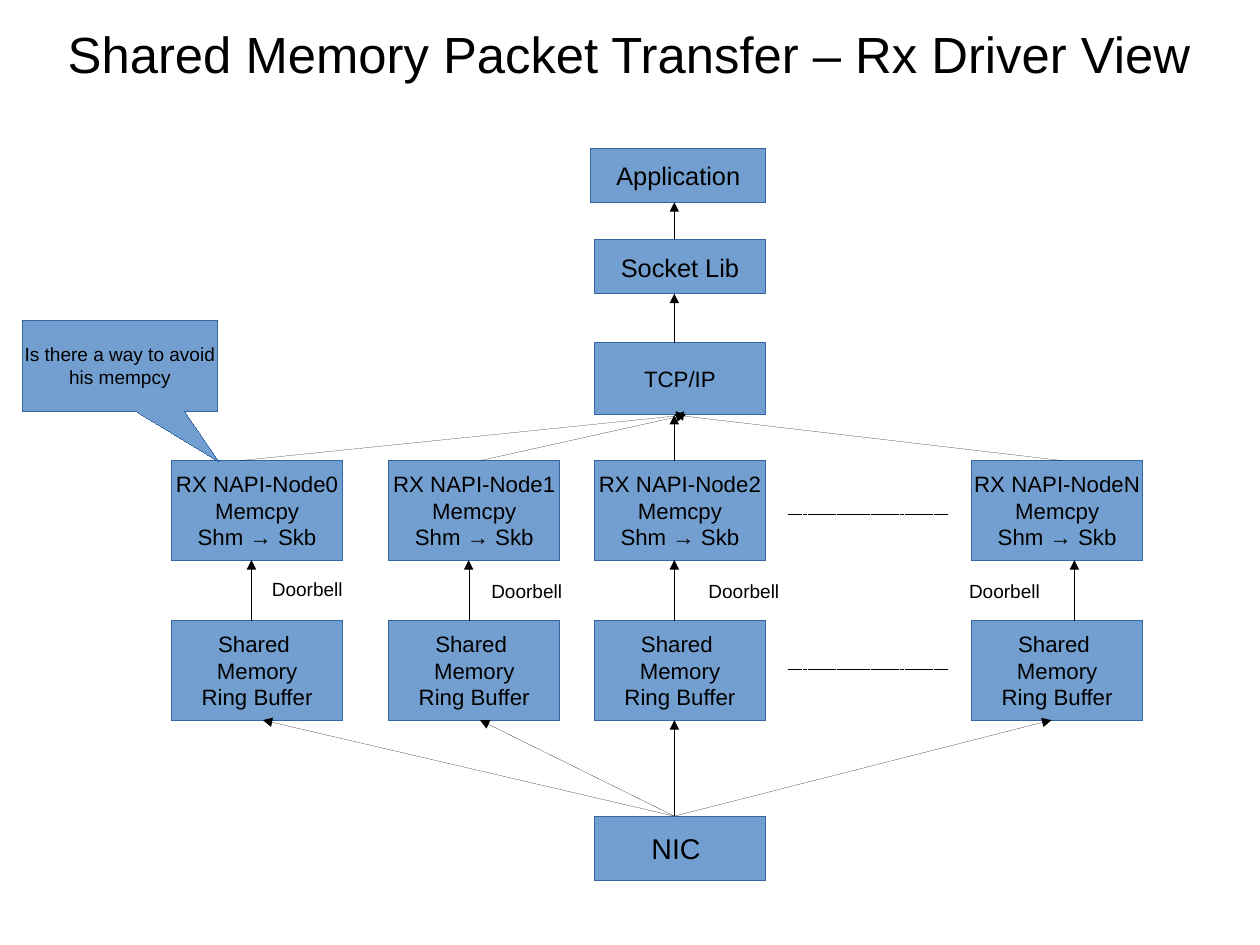
from dataclasses import dataclass

from lxml.etree import SubElement
from pptx import Presentation
from pptx.dml.color import RGBColor
from pptx.enum.dml import MSO_LINE
from pptx.enum.shapes import MSO_CONNECTOR, MSO_SHAPE
from pptx.enum.text import MSO_ANCHOR, PP_ALIGN
from pptx.oxml.ns import qn
from pptx.util import Pt


@dataclass(frozen=True)
class Theme:
    font: str = "Arial"
    text: RGBColor = RGBColor(0x00, 0x00, 0x00)
    fill: RGBColor = RGBColor(0x72, 0x9F, 0xCF)
    outline: RGBColor = RGBColor(0x34, 0x65, 0xA4)
    hairline: float = 0.01
    title_size: int = 32
    nic_size: int = 18
    layer_size: int = 16
    body_size: int = 14
    note_size: int = 12


@dataclass(frozen=True)
class Box:
    text: str
    left: float
    top: float
    width: float
    height: float
    size: int

    @property
    def bottom(self) -> float:
        return self.top + self.height


@dataclass(frozen=True)
class Lane:
    """One receive node: its box column, arrow positions and doorbell label."""
    name: str
    left: float
    nic_arrow_end: float
    doorbell_x: float
    stack_arrow_start: float
    stack_arrow_end: float
    label_left: float
    label_top: float


THEME = Theme()
BOX_WIDTH = 108
LANE_BOX_HEIGHT = 62.64
NODE_TOP = 290.16
RING_TOP = 390.96
TRUNK_X = 424.8
TRUNK_LEFT = 374.4

NIC = Box("NIC ", TRUNK_LEFT, 514.08, BOX_WIDTH, 40.32, THEME.nic_size)
TCP_IP = Box("TCP/IP", TRUNK_LEFT, 216, BOX_WIDTH, 45.36, THEME.body_size)
SOCKET = Box("Socket Lib", TRUNK_LEFT, 151.2, BOX_WIDTH, 33.84, THEME.layer_size)
APPLICATION = Box("Application", 372.24, 93.6, 110.16, 33.84, THEME.layer_size)
QUESTION = Box("Is there a way to avoid\nhis mempcy", 14.4, 201.6, 122.4, 57.6,
               THEME.note_size)
LANES = (
    Lane("Node0", 108, 165.6, 158.4, 151.2, 432, 164.16, 360),
    Lane("Node1", 244.8, 302.4, 295.2, 302.4, 432, 302.4, 361.44),
    Lane("Node2", TRUNK_LEFT, TRUNK_X, TRUNK_X, TRUNK_X, TRUNK_X, 439.2, 361.44),
    Lane("NodeN", 612, 662.4, 676.8, 669.6, TRUNK_X, 603.36, 361.44),
)


def write_text(frame, text: str, size: int, align: PP_ALIGN) -> None:
    frame.text = text
    for paragraph in frame.paragraphs:
        paragraph.alignment = align
        paragraph.font.size = Pt(size)
        paragraph.font.name = THEME.font
        paragraph.font.color.rgb = THEME.text


def add_box(slide, box: Box, preset: MSO_SHAPE = MSO_SHAPE.RECTANGLE):
    shape = slide.shapes.add_shape(
        preset, Pt(box.left), Pt(box.top), Pt(box.width), Pt(box.height))
    shape.shadow.inherit = False
    shape.fill.solid()
    shape.fill.fore_color.rgb = THEME.fill
    shape.line.color.rgb = THEME.outline
    shape.line.width = Pt(THEME.hairline)
    shape.text_frame.word_wrap = False
    shape.text_frame.vertical_anchor = MSO_ANCHOR.MIDDLE
    write_text(shape.text_frame, box.text, box.size, PP_ALIGN.CENTER)
    return shape


def add_line(slide, x1: float, y1: float, x2: float, y2: float):
    line = slide.shapes.add_connector(
        MSO_CONNECTOR.STRAIGHT, Pt(x1), Pt(y1), Pt(x2), Pt(y2))
    line.line.color.rgb = THEME.text
    line.line.width = Pt(THEME.hairline)
    SubElement(line._element.spPr, qn("a:effectLst"))
    return line


def add_arrow(slide, x1: float, y1: float, x2: float, y2: float) -> None:
    arrow = add_line(slide, x1, y1, x2, y2)
    SubElement(arrow.line._get_or_add_ln(), qn("a:tailEnd"), type="triangle")


def add_ellipsis(slide, y: float) -> None:
    """Dashed line standing for the lanes between Node2 and NodeN."""
    add_line(slide, 496.8, y, 597.6, y).line.dash_style = MSO_LINE.SQUARE_DOT


def add_doorbell(slide, lane: Lane) -> None:
    label = slide.shapes.add_textbox(
        Pt(lane.label_left), Pt(lane.label_top), Pt(59.04), Pt(20.88))
    label.text_frame.word_wrap = False
    write_text(label.text_frame, "Doorbell", THEME.note_size, PP_ALIGN.LEFT)


def add_title(slide) -> None:
    title = slide.shapes.title
    title.left, title.top, title.width, title.height = (
        Pt(39.6), Pt(9.36), Pt(714.24), Pt(48.24))
    frame = title.text_frame
    frame.margin_left = frame.margin_right = frame.margin_top = frame.margin_bottom = 0
    frame.vertical_anchor = MSO_ANCHOR.MIDDLE
    write_text(frame, "Shared Memory Packet Transfer – Rx Driver View",
               THEME.title_size, PP_ALIGN.CENTER)


def add_lane(slide, lane: Lane) -> None:
    ring = Box("Shared \nMemory\nRing Buffer", lane.left, RING_TOP, BOX_WIDTH,
               LANE_BOX_HEIGHT, THEME.body_size)
    node = Box(f"RX NAPI-{lane.name}\nMemcpy\nShm → Skb", lane.left, NODE_TOP,
               BOX_WIDTH, LANE_BOX_HEIGHT, THEME.body_size)
    add_box(slide, ring)
    add_box(slide, node)
    add_arrow(slide, TRUNK_X, NIC.top, lane.nic_arrow_end, ring.bottom)
    add_arrow(slide, lane.doorbell_x, ring.top, lane.doorbell_x, node.bottom)
    add_arrow(slide, lane.stack_arrow_start, node.top,
              lane.stack_arrow_end, TCP_IP.bottom)
    add_doorbell(slide, lane)


def main() -> None:
    presentation = Presentation()
    presentation.slide_width, presentation.slide_height = Pt(793.75), Pt(595.25)
    slide = presentation.slides.add_slide(presentation.slide_layouts[5])
    add_title(slide)
    for box in (NIC, TCP_IP, SOCKET, APPLICATION):
        add_box(slide, box)
    for lane in LANES:
        add_lane(slide, lane)
    for lower, upper in ((TCP_IP, SOCKET), (SOCKET, APPLICATION)):
        add_arrow(slide, TRUNK_X, lower.top, TRUNK_X, upper.bottom)
    for y in (324, 421.92):
        add_ellipsis(slide, y)
    callout = add_box(slide, QUESTION, MSO_SHAPE.RECTANGULAR_CALLOUT)
    callout.adjustments[0], callout.adjustments[1] = 0.51, 1.05
    presentation.save("out.pptx")


if __name__ == "__main__":
    main()
